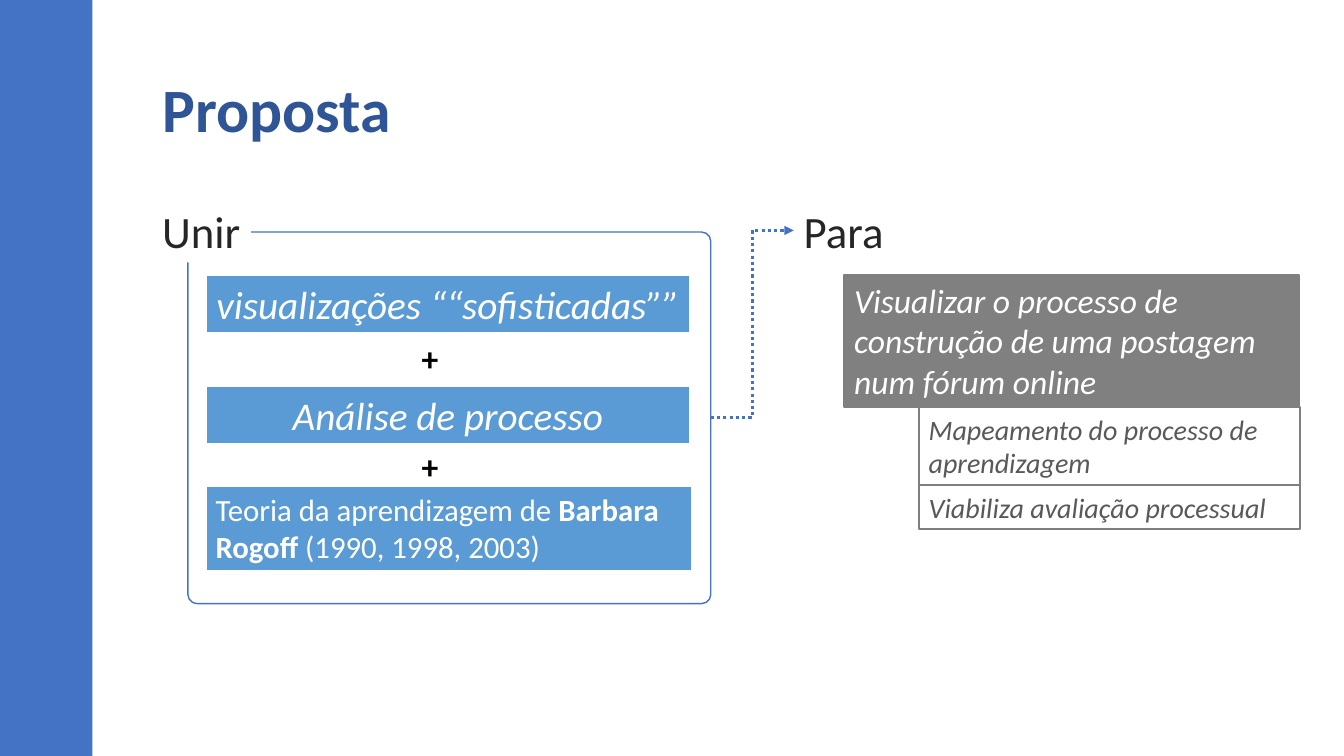
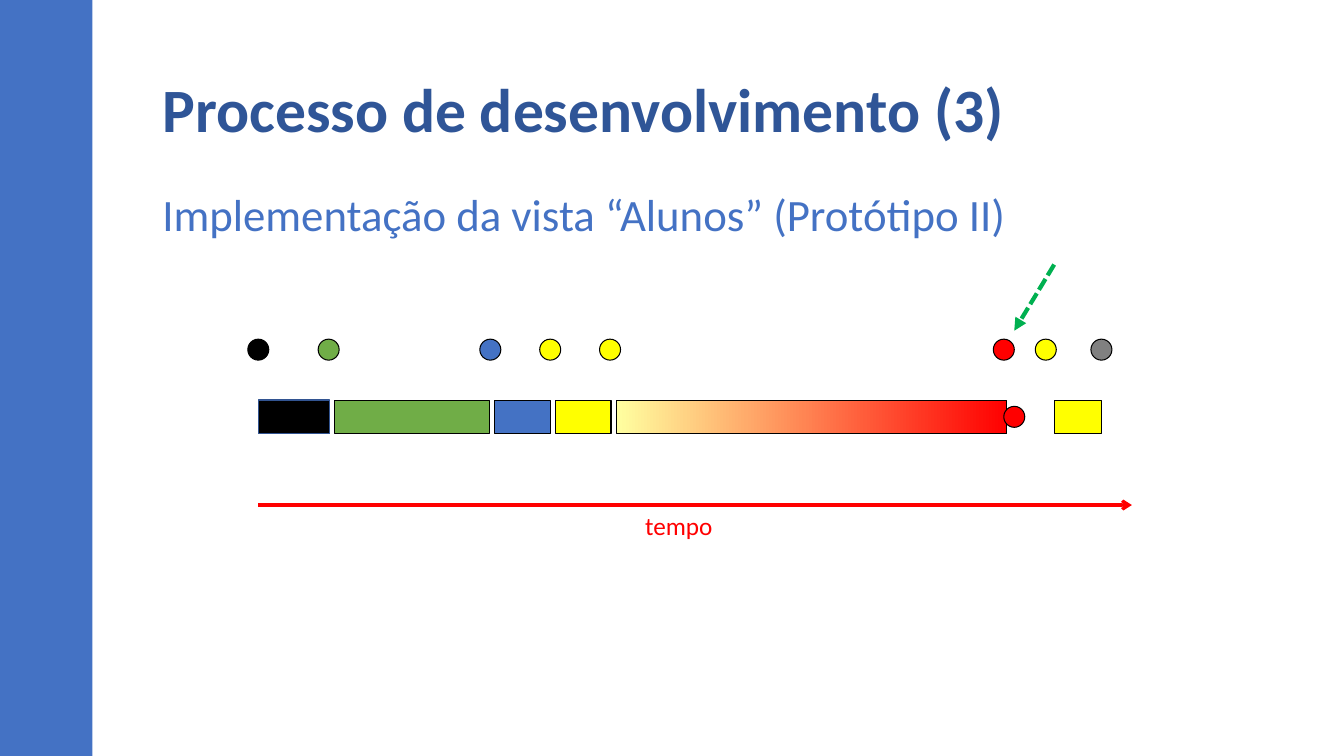
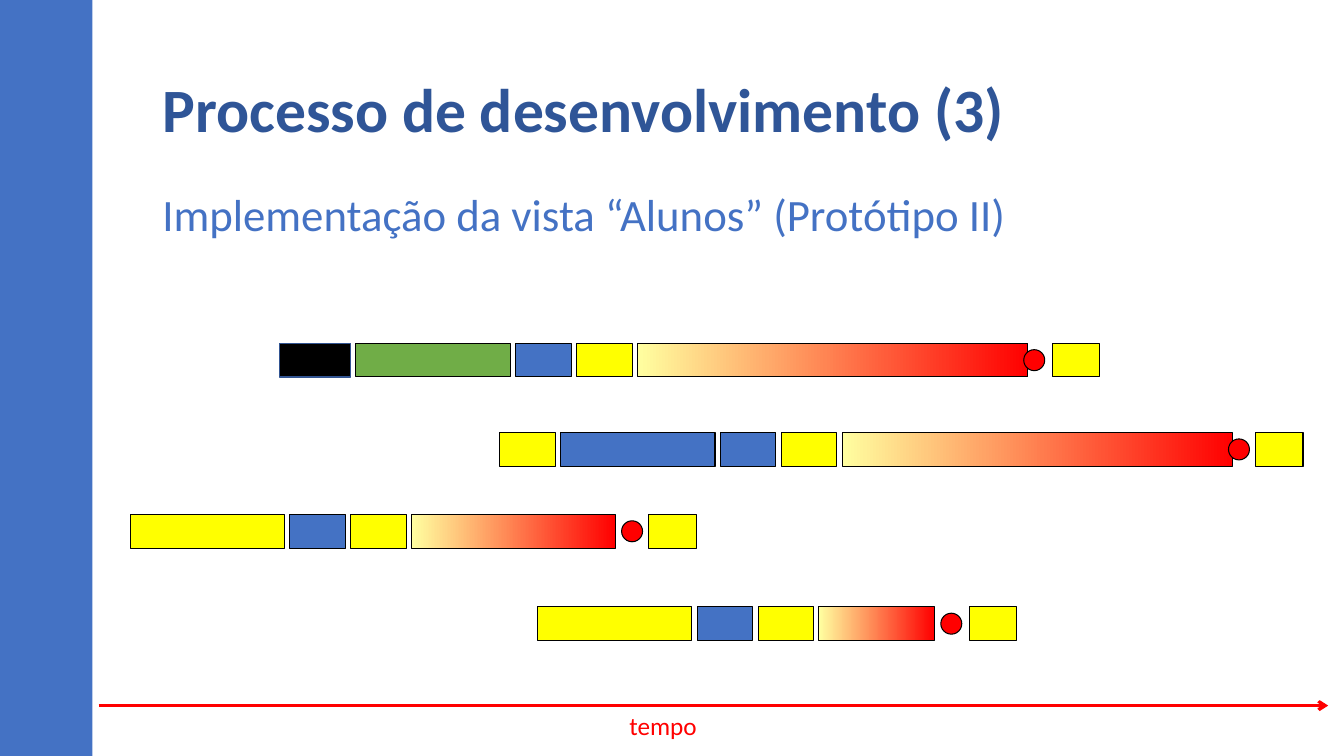
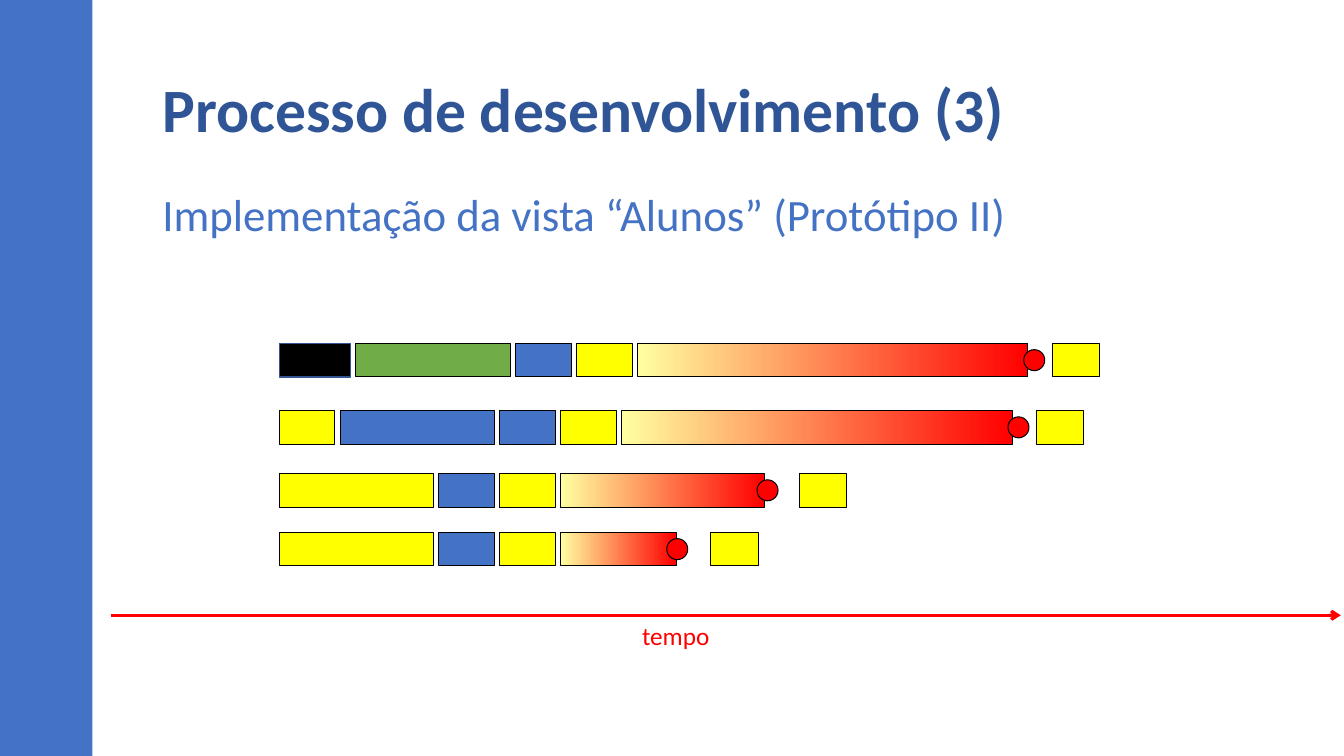
from lxml import etree
from pptx import Presentation
from pptx.dml.color import RGBColor
from pptx.enum.dml import MSO_LINE
from pptx.enum.shapes import MSO_CONNECTOR, MSO_SHAPE
from pptx.enum.text import MSO_ANCHOR, MSO_AUTO_SIZE, PP_ALIGN
from pptx.oxml.ns import qn
from pptx.util import Emu, Pt

# Constants
PX = 9525  # EMU per px, 96 px to the inch
WIDTH, HEIGHT = 1280, 720
RECT, ROUNDED, OVAL = MSO_SHAPE.RECTANGLE, MSO_SHAPE.ROUNDED_RECTANGLE, MSO_SHAPE.OVAL
STRAIGHT, ELBOW = MSO_CONNECTOR.STRAIGHT, MSO_CONNECTOR.ELBOW
DOTTED, DASHED = MSO_LINE.ROUND_DOT, MSO_LINE.SQUARE_DOT
LEFT, CENTER = PP_ALIGN.LEFT, PP_ALIGN.CENTER
TOP, MIDDLE = MSO_ANCHOR.TOP, MSO_ANCHOR.MIDDLE
FIT_SHAPE, NO_FIT = MSO_AUTO_SIZE.SHAPE_TO_FIT_TEXT, MSO_AUTO_SIZE.NONE
TITLE_ONLY, TITLE_AND_BODY = 5, 1

FONT = "Calibri"
NAVY, BLUE, SKY = "2F5597", "4472C4", "5B9BD5"
BLACK, WHITE, INK = "000000", "FFFFFF", "262626"
GRAY, BORDER, SLATE = "808080", "7F7F7F", "595959"
GREEN, YELLOW, RED, ARROW_GREEN = "70AD47", "FFFF00", "FF0000", "00B050"
PALE_YELLOW, BLACK_EDGE = "FFFFA0", "325491"

# Timeline measures
BAR_HEIGHT, GAP, DOT = 32, 5, 20
FIRST, LONG, SHORT, LAST = 68, 147, 53, 45
FULL, HALF, BRIEF = 372, 194, 110
FOUR_STEPS = [(FIRST, BLACK), (LONG, GREEN), (SHORT, BLUE), (SHORT, YELLOW)]
BLUE_STEPS = [(SHORT, YELLOW), (LONG, BLUE), (SHORT, BLUE), (SHORT, YELLOW)]
THREE_STEPS = [(LONG, YELLOW), (SHORT, BLUE), (SHORT, YELLOW)]


def rgb(code):
    return RGBColor.from_string(code)


def px(*lengths):
    return [Emu(length * PX) for length in lengths]


def write(frame, text, size=18, color=BLACK, bold=False, italic=False, align=LEFT,
          anchor=TOP, wrap=True, fit=FIT_SHAPE, spacing=None, before=None):
    """Fill a text frame; ** switches bold on and off."""
    frame.word_wrap = wrap
    frame.auto_size = fit
    frame.vertical_anchor = anchor
    paragraph = frame.paragraphs[0]
    paragraph.alignment = align
    paragraph.line_spacing = spacing
    if before is not None:
        paragraph.space_before = Pt(before)
    for index, piece in enumerate(text.split("**")):
        run = paragraph.add_run()
        run.text = piece
        font = run.font
        font.name, font.size, font.italic = FONT, Pt(size), italic
        font.bold = bold if index % 2 == 0 else not bold
        font.color.rgb = rgb(color)
    return paragraph


class Deck:
    def __init__(self):
        self.prs = Presentation()
        self.prs.slide_width, self.prs.slide_height = px(WIDTH, HEIGHT)
        self.slide = None

    def new_slide(self, title, subtitle=None):
        layout = self.prs.slide_layouts[TITLE_AND_BODY if subtitle else TITLE_ONLY]
        self.slide = self.prs.slides.add_slide(layout)
        if len(self.prs.slides) == 1:
            self.master_band()
        heading = self.slide.shapes.title
        self.place(heading, 145, 38, 1046, 139)
        write(heading.text_frame, title, size=44, color=NAVY, bold=True,
              anchor=MIDDLE, fit=NO_FIT, spacing=0.9)
        if subtitle:
            body = self.slide.placeholders[1]
            self.place(body, 145, 179, 1046, 525)
            paragraph = write(body.text_frame, subtitle, size=32, color=BLUE,
                              fit=NO_FIT, spacing=0.9, before=10)
            properties = paragraph._p.get_or_add_pPr()
            properties.set("marL", "0")
            properties.set("indent", "0")
            etree.SubElement(properties, qn("a:buNone"))

    def master_band(self):
        band = self.box(0, 0, 88, HEIGHT, fill=BLUE)
        self.prs.slide_master.shapes.element.insert(2, band.element)

    def place(self, shape, *at):
        shape.left, shape.top, shape.width, shape.height = px(*at)

    def box(self, x, y, w, h, kind=RECT, fill=None, line=None, weight=0.75,
            text=None, **style):
        shape = self.slide.shapes.add_shape(kind, *px(x, y, w, h))
        shape.shadow.inherit = False
        if isinstance(fill, tuple):
            shape.fill.gradient()
            shape.fill.gradient_angle = 0
            for stop, color in zip(shape.fill.gradient_stops, fill):
                stop.color.rgb = rgb(color)
        elif fill:
            shape.fill.solid()
            shape.fill.fore_color.rgb = rgb(fill)
        else:
            shape.fill.background()
        if line:
            shape.line.color.rgb = rgb(line)
            shape.line.width = Pt(weight)
        else:
            shape.line.fill.background()
        if text:
            write(shape.text_frame, text, **style)
        return shape

    def label(self, x, y, w, h, text, fill=None, **style):
        label = self.slide.shapes.add_textbox(*px(x, y, w, h))
        if fill:
            label.fill.solid()
            label.fill.fore_color.rgb = rgb(fill)
        write(label.text_frame, text, wrap=False, **style)
        return label

    def arrow(self, start, end, color, weight=2.25, kind=STRAIGHT, dash=None, head="triangle"):
        arrow = self.slide.shapes.add_connector(kind, *px(*start, *end))
        arrow.line.color.rgb = rgb(color)
        arrow.line.width = Pt(weight)
        if dash:
            arrow.line.dash_style = dash
        etree.SubElement(arrow.line._get_or_add_ln(), qn("a:tailEnd"), type=head)
        etree.SubElement(arrow.element.spPr, qn("a:effectLst"))
        return arrow

    def dot(self, x, y, color):
        self.box(x, y, DOT, DOT, kind=OVAL, fill=color, line=BLACK)

    def timeline(self, x, y, steps, writing, dot_x, last_x):
        """A row of steps, the fading writing bar, its red end and the last step."""
        for width, color in steps:
            edge, weight = (BLACK_EDGE, 1) if color == BLACK else (BLACK, 0.75)
            self.box(x, y, width, BAR_HEIGHT, fill=color, line=edge, weight=weight)
            x += width + GAP
        self.box(last_x, y, LAST, BAR_HEIGHT, fill=YELLOW, line=BLACK)
        self.box(x, y, writing, BAR_HEIGHT, fill=(PALE_YELLOW, RED), line=BLACK)
        self.dot(dot_x, y + (BAR_HEIGHT - DOT) // 2, RED)

    def time_axis(self, start, end, y, label_x):
        self.arrow((start, y), (end, y), RED, head="arrow")
        self.label(label_x, y, 84, 38, "tempo", color=RED)


def proposal(deck):
    deck.new_slide("Proposta")

    # What is joined
    frame = deck.box(179, 221, 498, 354, kind=ROUNDED, line=BLUE, weight=1)
    frame.adjustments[0] = 0.025
    deck.label(145, 189, 94, 61, "Unir", fill=WHITE, size=32, color=INK)
    for y, part in ((262, "visualizações ““sofisticadas””"), (368, "Análise de processo")):
        deck.box(196, y, 461, 55, fill=SKY, line=WHITE, weight=1.5, text=part,
                 size=28, color=WHITE, italic=True, align=CENTER)
    deck.box(196, 463, 463, 81, fill=SKY, line=WHITE, weight=1.5, size=22, color=WHITE,
             text="Teoria da aprendizagem de **Barbara Rogoff** (1990, 1998, 2003)")
    for y in (317, 420):
        deck.label(392, y, 36, 48, "+", size=24, bold=True)

    # What it is for
    purpose = deck.label(756, 189, 96, 61, "Para", size=32, color=INK)
    deck.box(804, 262, 433, 126, fill=GRAY, line=BORDER, weight=1.5,
             text="Visualizar o processo de construção de uma postagem num fórum online",
             size=24, color=WHITE, italic=True)
    for y, height, gain in ((388, 74, "Mapeamento do processo de aprendizagem"),
                            (462, 42, "Viabiliza avaliação processual")):
        deck.box(875, y, 363, height, line=BORDER, weight=1.5, text=gain,
                 size=20, color=SLATE, italic=True)

    link = deck.arrow((677, 398), (756, 220), BLUE, kind=ELBOW, dash=DOTTED)
    link.begin_connect(frame, 3)
    link.end_connect(purpose, 1)


def students_view(deck, rows, axis):
    deck.new_slide("Processo de desenvolvimento (3)",
                   "Implementação da vista “Alunos” (Protótipo II)")
    for row in rows:
        deck.timeline(*row)
    deck.time_axis(*axis)


def main():
    deck = Deck()
    proposal(deck)

    # One student, with the events that bound the steps
    students_view(deck, [(246, 381, FOUR_STEPS, FULL, 956, 1004)], (246, 1078, 481, 605))
    events = [(236, BLACK), (303, GREEN), (457, BLUE), (514, YELLOW),
              (571, YELLOW), (946, RED), (986, YELLOW), (1039, GRAY)]
    for x, color in events:
        deck.dot(x, 323, color)
    deck.arrow((1004, 252), (966, 315), ARROW_GREEN, weight=3, dash=DASHED)

    # Four students, each at their own time
    first_student = (266, 327, FOUR_STEPS, FULL, 975, 1002)
    students_view(deck, [
        first_student,
        (476, 412, BLUE_STEPS, FULL, 1170, 1196),
        (124, 490, THREE_STEPS, HALF, 592, 618),
        (512, 578, THREE_STEPS, BRIEF, 896, 923),
    ], (94, 1265, 672, 590))

    # Four students, aligned at the start
    students_view(deck, [
        first_student,
        (266, 391, BLUE_STEPS, FULL, 960, 987),
        (266, 451, THREE_STEPS, HALF, 721, 761),
        (266, 507, THREE_STEPS, BRIEF, 635, 677),
    ], (106, 1277, 586, 602))

    deck.prs.save("out.pptx")


if __name__ == "__main__":
    main()
